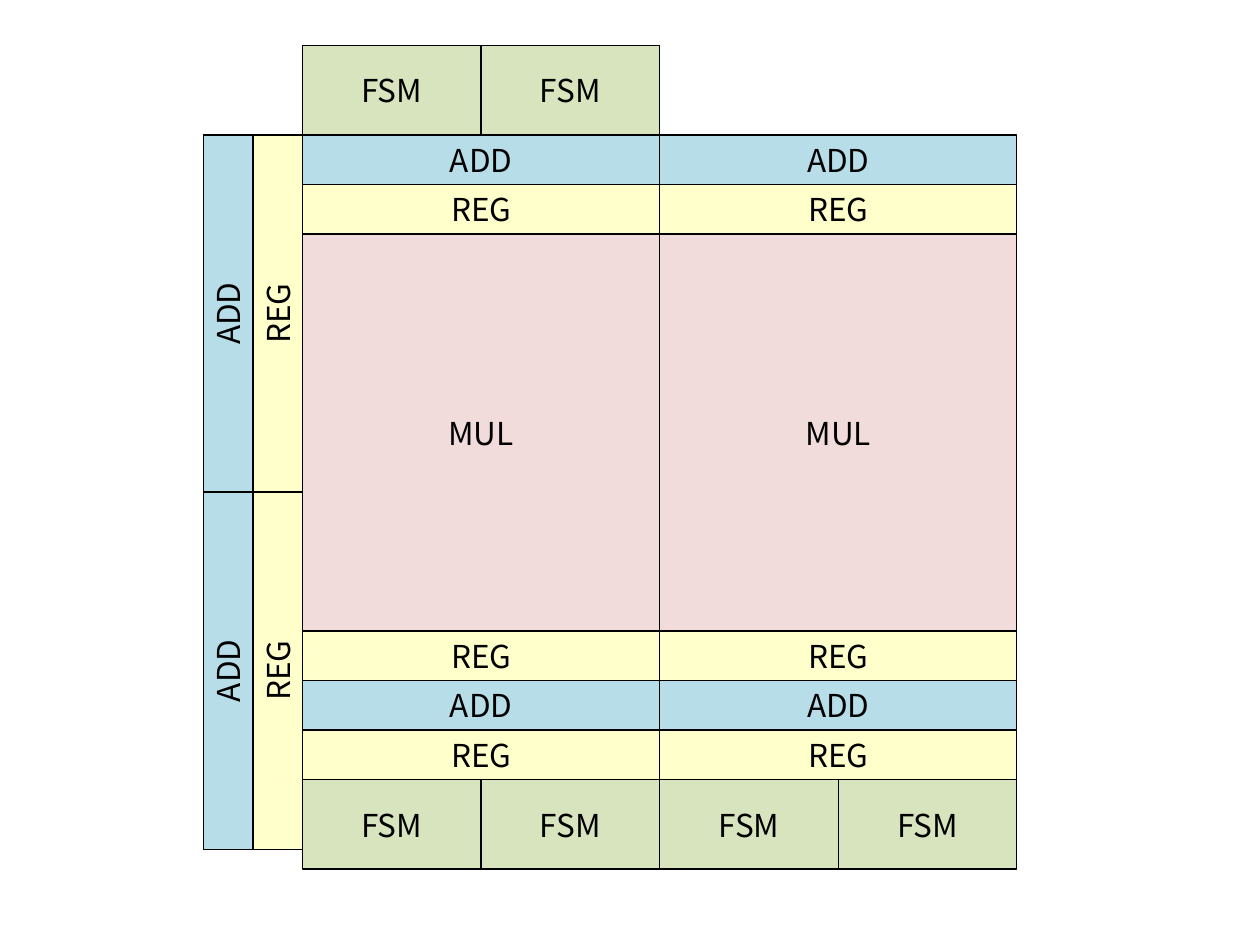
import pptx
import pptx.util
import pptx.dml.color
import pptx.enum.shapes
import pptx.enum.text

Cm = pptx.util.Cm
FONT = "Noto Sans CJK JP"
FILLS = {"ADD": "B7DEE8", "REG": "FFFFCC", "MUL": "F2DCDB", "FSM": "D7E4BD"}
LEFT, TOP = 6.1, 2.72      # corner of the core, in cm
WIDE, BAR = 7.2, 1.0       # core column width, bar thickness
FSM_W, FSM_H = WIDE / 2, 1.8
STACK = [("ADD", BAR), ("REG", BAR), ("MUL", 8.0),
         ("REG", BAR), ("ADD", BAR), ("REG", BAR)]


def paint(color, code):
    """Set a colour format from a hex string."""
    color.rgb = pptx.dml.color.RGBColor.from_string(code)


def block(slide, name, x, y, w, h, turn=0):
    """Add a labelled block, measured in cm, filled by its kind."""
    box = slide.shapes.add_shape(pptx.enum.shapes.MSO_SHAPE.RECTANGLE,
                                 Cm(x), Cm(y), Cm(w), Cm(h))
    box.rotation = turn
    box.shadow.inherit = False
    box.fill.solid()
    paint(box.fill.fore_color, FILLS[name])
    paint(box.line.color, "000000")
    box.line.width = pptx.util.Pt(0.75)
    frame = box.text_frame
    frame.word_wrap = False
    frame.vertical_anchor = pptx.enum.text.MSO_ANCHOR.MIDDLE
    para = frame.paragraphs[0]
    para.alignment = pptx.enum.text.PP_ALIGN.CENTER
    run = para.add_run()
    run.text = name
    run.font.name = FONT
    run.font.size = pptx.util.Pt(18)
    paint(run.font.color, "000000")


def core(slide, x):
    """Add one column of the core from top to bottom."""
    y = TOP
    for name, high in STACK:
        block(slide, name, x, y, WIDE, high)
        y += high


def side(slide, name, mid):
    """Add two upright bars, one above the other, centred on mid."""
    for row in range(2):
        y = TOP + (row + 0.5) * WIDE - BAR / 2
        block(slide, name, mid - WIDE / 2, y, WIDE, BAR, 270)


def states(slide, y, count):
    """Add a row of state machine blocks."""
    for col in range(count):
        block(slide, "FSM", LEFT + col * FSM_W, y, FSM_W, FSM_H)


def main():
    """Build the floor plan and save it."""
    deck = pptx.Presentation()
    deck.slide_width, deck.slide_height = Cm(25.4), Cm(19.05)
    slide = deck.slides.add_slide(deck.slide_layouts[6])
    side(slide, "ADD", LEFT - 1.5 * BAR)
    side(slide, "REG", LEFT - 0.5 * BAR)
    for col in range(2):
        core(slide, LEFT + col * WIDE)
    states(slide, TOP + sum(high for _, high in STACK), 4)
    states(slide, TOP - FSM_H, 2)
    deck.save("out.pptx")


main()
